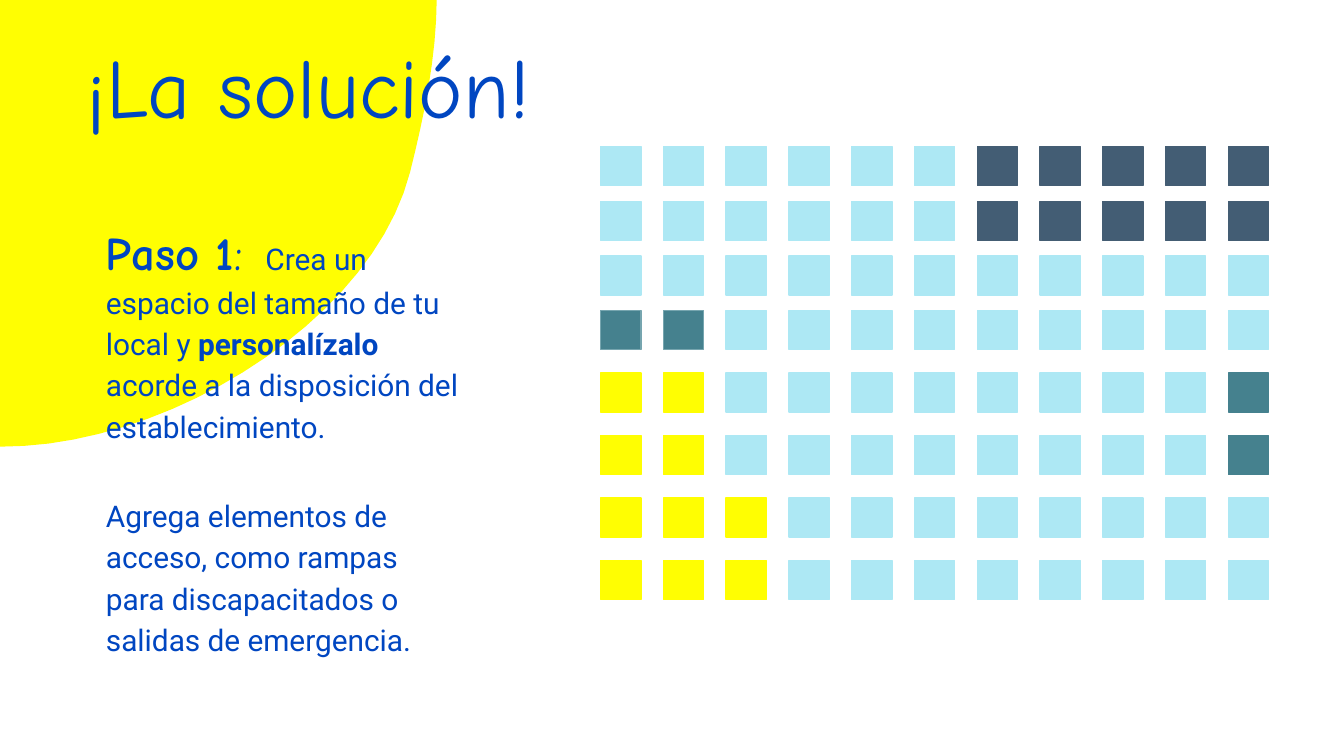
from math import cos, radians, sin

from pptx import Presentation
from pptx.dml.color import RGBColor
from pptx.enum.shapes import MSO_SHAPE
from pptx.enum.text import MSO_ANCHOR, PP_ALIGN
from pptx.util import Pt

BLUE = "0046C1"
YELLOW = "FFFE02"

TITLE = [("¡La solución!", "Comic Neue", 45, False)]
STEPS = [
    [
        ("Paso 1", "Comic Neue", 25, True),
        (": ", "Comic Neue", 25, False),
        (" Crea un espacio del tamaño de tu local y ", "Roboto", 16, False),
        ("personalízalo", "Roboto", 16, True),
        (" acorde a la disposición del establecimiento.", "Roboto", 16, False),
    ],
    [("Agrega elementos de acceso, como rampas para discapacitados "
      "o salidas de emergencia.", "Roboto", 16, False)],
]

FLOOR_PLAN = [
    "......DDDDD",
    "......DDDDD",
    "...........",
    "RR.........",
    "YY........T",
    "YY........T",
    "YYY........",
    "YYY........",
]
TILE_COLOURS = {
    ".": ("ADE8F4", "ADE8F4"),
    "D": ("435D74", "445D73"),
    "R": ("45818E", "76A5AF"),
    "T": ("45818E", "45818E"),
    "Y": (YELLOW, YELLOW),
}
TILE_WIDTH, TILE_HEIGHT = 21.6, 20.9
GRID_LEFT, GRID_TOP, COLUMN_STEP = 321.8, 78.6, 33.62
UPPER_ROWS, UPPER_STEP, LOWER_STEP = 3, 29.25, 33.5

BLOB_START = (105.1, -151.2)
BLOB_CURVES = [
    ((100.1, -152.6), (94.7, -154.1), (89.3, -154.8)),
    ((-5.8, -175), (-160.6, -115.9), (-183.6, -25.2)),
    ((-207.4, 65.5), (-131.8, 210.2), (-37.4, 234.7)),
    ((56.9, 259.2), (196.6, 182.9), (219.6, 92.2)),
    ((241.9, 4.3), (258.5, -112.3), (105.1, -151.2)),
]
BLOB_CENTRE = (16.9, 37.1)
BLOB_TURN = 14.4
CURVE_STEPS = 24


def colour(hex_code):
    return RGBColor.from_string(hex_code)


def paint(shape, fill, line=None):
    shape.shadow.inherit = False
    shape.fill.solid()
    shape.fill.fore_color.rgb = colour(fill)
    if line:
        shape.line.color.rgb = colour(line)
        shape.line.width = Pt(0.75)
    else:
        shape.line.fill.background()


def write(para, spans, spacing):
    para.alignment = PP_ALIGN.LEFT
    para.line_spacing = spacing
    for text, font, size, bold in spans:
        span = para.add_run()
        span.text = text
        span.font.name = font
        span.font.size = Pt(size)
        span.font.bold = bold
        span.font.color.rgb = colour(BLUE)


def set_frame(frame, anchor):
    frame.word_wrap = True
    frame.vertical_anchor = anchor
    frame.margin_left = frame.margin_right = Pt(7.2)
    frame.margin_top = frame.margin_bottom = Pt(7.2)


def curve_points(start, curves):
    for first, second, end in curves:
        for step in range(1, CURVE_STEPS + 1):
            t = step / CURVE_STEPS
            u = 1 - t
            yield tuple(
                u**3 * a + 3 * u * u * t * b + 3 * u * t * t * c + t**3 * d
                for a, b, c, d in zip(start, first, second, end)
            )
        start = end


def turn_back(point):
    angle = radians(-BLOB_TURN)
    x, y = point[0] - BLOB_CENTRE[0], point[1] - BLOB_CENTRE[1]
    return (
        Pt(BLOB_CENTRE[0] + x * cos(angle) - y * sin(angle)),
        Pt(BLOB_CENTRE[1] + x * sin(angle) + y * cos(angle)),
    )


def add_blob(page):
    outline = [turn_back(point) for point in curve_points(BLOB_START, BLOB_CURVES)]
    builder = page.shapes.build_freeform(*turn_back(BLOB_START))
    builder.add_line_segments(outline, close=True)
    blob = builder.convert_to_shape()
    blob.rotation = BLOB_TURN
    paint(blob, YELLOW)
    return blob


def add_floor_plan(page):
    for row, tiles in enumerate(FLOOR_PLAN):
        upper = min(row, UPPER_ROWS)
        top = GRID_TOP + upper * UPPER_STEP + (row - upper) * LOWER_STEP
        for column, kind in enumerate(tiles):
            left = GRID_LEFT + column * COLUMN_STEP
            tile = page.shapes.add_shape(
                MSO_SHAPE.RECTANGLE, Pt(left), Pt(top), Pt(TILE_WIDTH), Pt(TILE_HEIGHT)
            )
            paint(tile, *TILE_COLOURS[kind])


def main():
    deck = Presentation()
    deck.slide_width, deck.slide_height = Pt(720), Pt(405)
    page = deck.slides.add_slide(deck.slide_layouts[5])

    title = page.shapes.title
    title.left, title.top, title.width, title.height = Pt(38.9), Pt(30.2), Pt(607), Pt(37.4)
    set_frame(title.text_frame, MSO_ANCHOR.MIDDLE)
    write(title.text_frame.paragraphs[0], TITLE, 0.9)

    blob = add_blob(page)
    title.element.addprevious(blob.element)
    add_floor_plan(page)

    box = page.shapes.add_textbox(Pt(49.7), Pt(108), Pt(205.9), Pt(206.6))
    set_frame(box.text_frame, MSO_ANCHOR.TOP)
    write(box.text_frame.paragraphs[0], STEPS[0], 1.15)
    para = box.text_frame.add_paragraph()
    para.space_before = Pt(26)
    write(para, STEPS[1], 1.15)

    deck.save("out.pptx")


if __name__ == "__main__":
    main()
